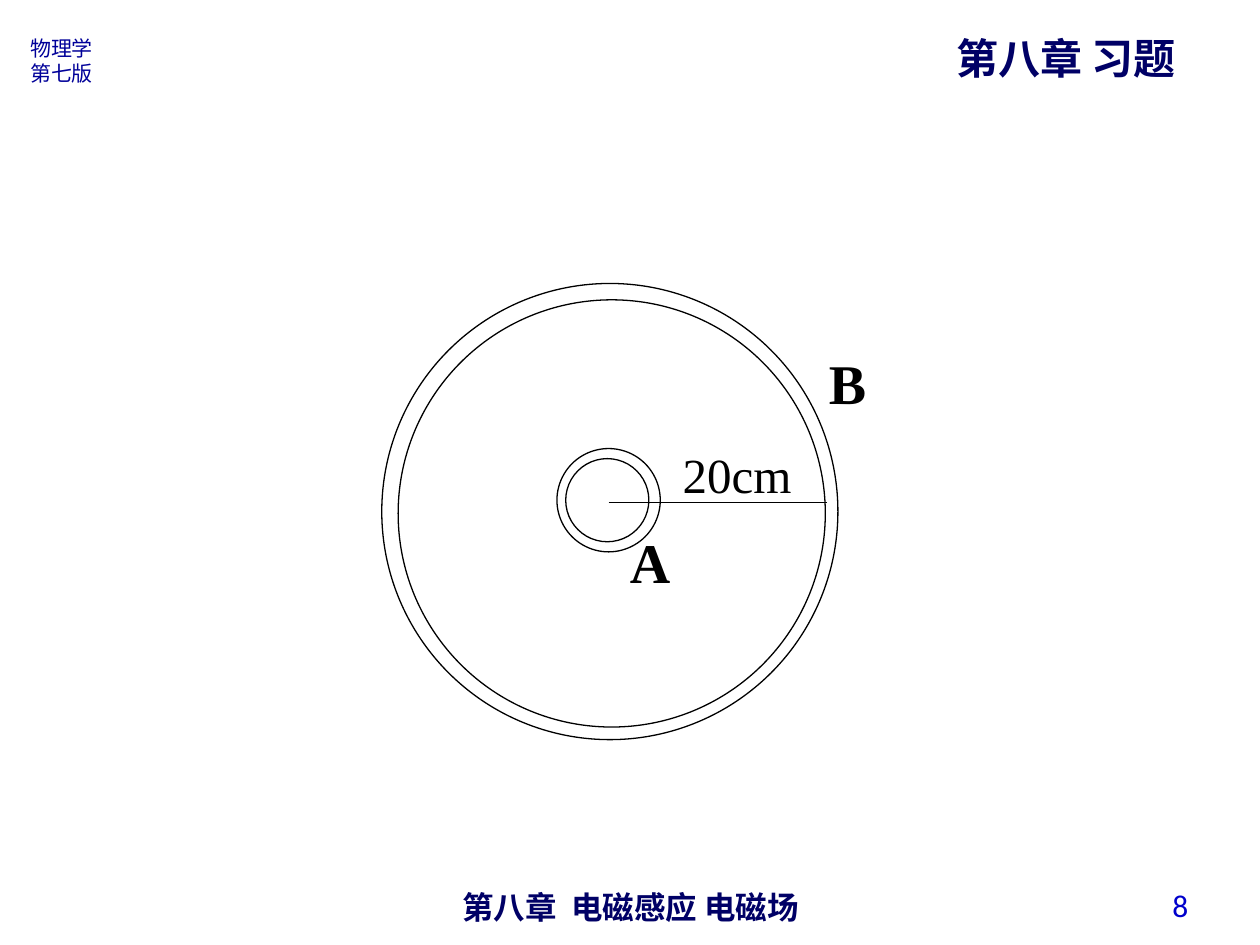
from collections import namedtuple
from dataclasses import dataclass

from lxml import etree
from pptx import Presentation
from pptx.dml.color import RGBColor
from pptx.enum.shapes import MSO_CONNECTOR, MSO_SHAPE
from pptx.enum.text import MSO_ANCHOR, MSO_AUTO_SIZE, PP_ALIGN
from pptx.oxml.ns import qn
from pptx.util import Inches, Pt

OVAL = MSO_SHAPE.OVAL
STRAIGHT = MSO_CONNECTOR.STRAIGHT
TOP, MIDDLE = MSO_ANCHOR.TOP, MSO_ANCHOR.MIDDLE
LEFT, CENTER, RIGHT = PP_ALIGN.LEFT, PP_ALIGN.CENTER, PP_ALIGN.RIGHT
FIXED_SIZE = MSO_AUTO_SIZE.NONE
TITLE_ONLY = 5

Box = namedtuple("Box", "left top width height")  # inches


@dataclass(frozen=True)
class Theme:
    heading: str = "000066"
    edition: str = "000099"
    number: str = "0000CC"
    ink: str = "000000"
    chinese: str = "Noto Sans CJK SC"
    latin: str = "Arial"
    digits: str = "Calibri"
    serif: str = "Times New Roman"
    title_size: int = 24
    footer_size: int = 18
    edition_size: int = 12
    label_size: int = 32
    length_size: int = 28
    line_width: float = 0.75


THEME = Theme()


def color(value):
    return RGBColor.from_string(value)


def place(shape, box):
    shape.left, shape.top, shape.width, shape.height = map(Inches, box)


def write(shape, text, *, size, font, fill, bold=False, align=LEFT,
          anchor=TOP, wrap=True):
    """Write one paragraph per line of text, in one format."""
    frame = shape.text_frame
    frame.text = text
    frame.word_wrap = wrap
    frame.auto_size = FIXED_SIZE
    frame.vertical_anchor = anchor
    for para in frame.paragraphs:
        para.alignment = align
        for span in para.runs:
            span.font.size = Pt(size)
            span.font.bold = bold
            span.font.name = font
            span.font.color.rgb = color(fill)
            # Chinese characters take the East Asian typeface
            east_asian = etree.Element(qn("a:ea"), typeface=THEME.chinese)
            span.font._element.find(qn("a:latin")).addnext(east_asian)


def add_text(page, box, text, **style):
    write(page.shapes.add_textbox(*map(Inches, box)), text, **style)


def add_header(page, box):
    # Chapter title at the right, wide enough for one line
    title = page.shapes.title
    place(title, Box(box.left + 7.35, box.top, 2.3, 0.5))
    write(title, "第八章 习题", size=THEME.title_size, font=THEME.chinese,
          fill=THEME.heading, bold=True)
    # Book edition at the left
    add_text(page, Box(box.left, box.top + 0.02, 0.72, 0.5), "物理学\n第七版",
             size=THEME.edition_size, font=THEME.chinese, fill=THEME.edition)


def add_footer(page, box):
    # Chapter name in the middle, page number at the right
    add_text(page, Box(box.left, box.top + 0.02, 3.17, 0.29),
             "第八章  电磁感应 电磁场", size=THEME.footer_size,
             font=THEME.latin, fill=THEME.heading, bold=True, align=CENTER)
    add_text(page, Box(box.left + 3.78, box.top, 2.33, box.height), "8",
             size=THEME.footer_size, font=THEME.digits, fill=THEME.number,
             align=RIGHT, anchor=MIDDLE)


def add_circle(page, left, top, diameter):
    circle = page.shapes.add_shape(
        OVAL, *map(Inches, (left, top, diameter, diameter)))
    circle.shadow.inherit = False
    circle.fill.background()
    circle.line.color.rgb = color(THEME.ink)
    circle.line.width = Pt(THEME.line_width)


def add_radius(page, left, top, length):
    radius = page.shapes.add_connector(
        STRAIGHT, *map(Inches, (left, top, left + length, top)))
    radius.line.color.rgb = color(THEME.ink)
    radius.line.width = Pt(THEME.line_width)
    etree.SubElement(radius._element.spPr, qn("a:effectLst"))


def add_coils(page, box):
    # Walls of coil B, then of coil A: offset from the box and diameter
    for across, down, diameter in ((0, 0, 3.62), (0.13, 0.13, 3.39),
                                   (1.39, 1.31, 0.82), (1.46, 1.39, 0.66)):
        add_circle(page, box.left + across, box.top + down, diameter)
    add_radius(page, box.left + 1.8, box.top + 1.74, 1.73)

    # Coil names and the radius length
    labels = (
        ("A", Box(1.87, 1.89, 0.52, 0.64), THEME.label_size, True),
        ("B", Box(3.45, 0.47, 0.49, 0.64), THEME.label_size, True),
        ("20cm", Box(2.29, 1.23, 1.06, 0.57), THEME.length_size, False),
    )
    for text, spot, size, bold in labels:
        target = Box(box.left + spot.left, box.top + spot.top,
                     spot.width, spot.height)
        add_text(page, target, text, size=size, font=THEME.serif,
                 fill=THEME.ink, bold=bold, wrap=False)


def main():
    deck = Presentation()
    deck.slide_width, deck.slide_height = Inches(10), Inches(7.5)
    page = deck.slides.add_slide(deck.slide_layouts[TITLE_ONLY])
    add_header(page, Box(0.14, 0.21, 9.65, 0.52))
    add_coils(page, Box(3.03, 2.25, 3.94, 3.62))
    add_footer(page, Box(3.42, 6.98, 6.11, 0.4))
    deck.save("out.pptx")


if __name__ == "__main__":
    main()
